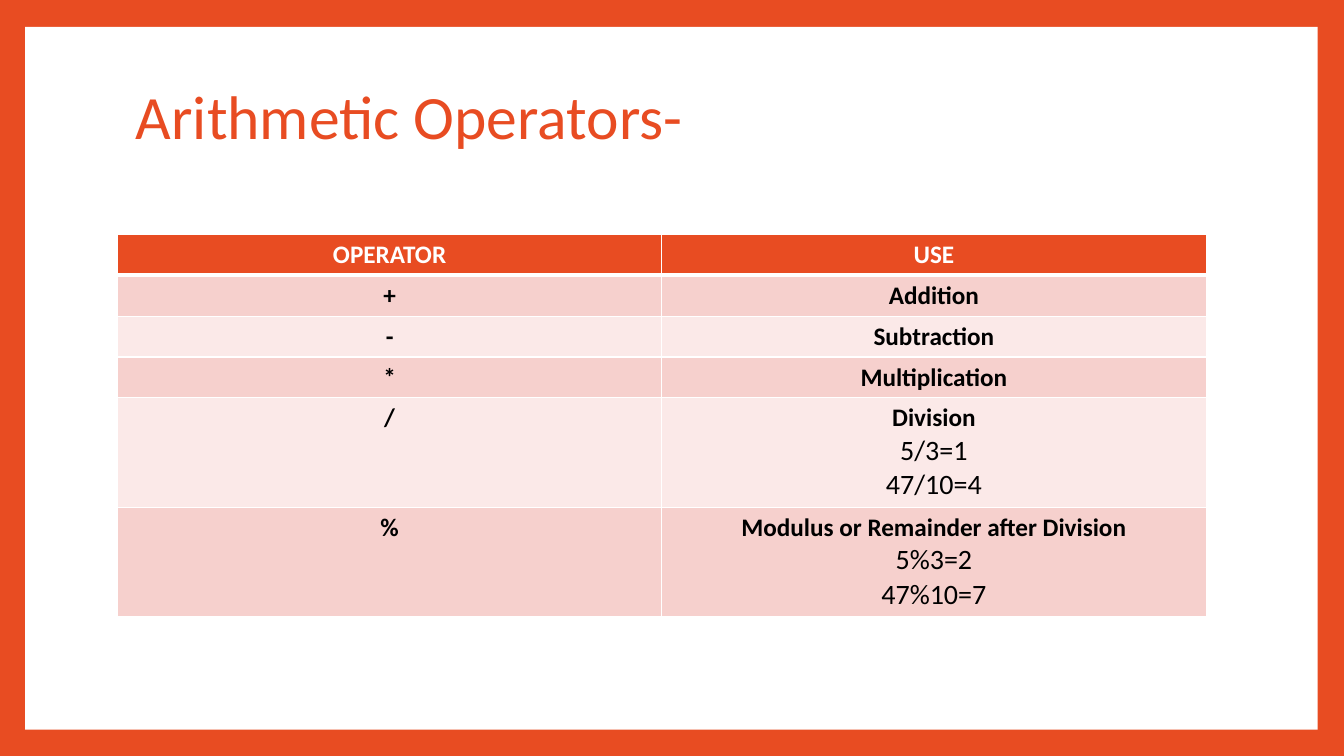
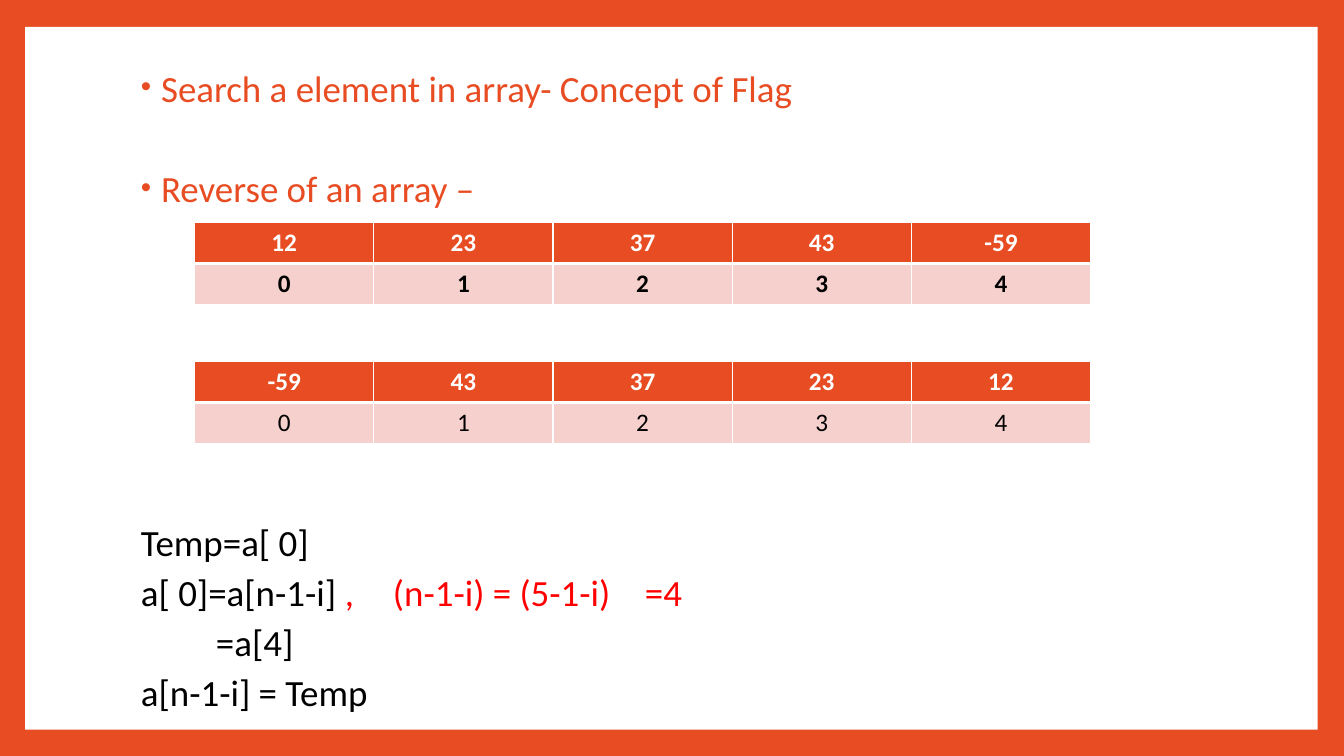
from pptx import Presentation
from pptx.dml.color import RGBColor
from pptx.enum import shapes, text
from pptx.oxml import parse_xml
from pptx.oxml.ns import nsdecls
from pptx.util import Pt

ORANGE = RGBColor(0xE8, 0x4C, 0x22)
WHITE = RGBColor(0xFF, 0xFF, 0xFF)
BLACK = RGBColor(0x00, 0x00, 0x00)
RED = RGBColor(0xFF, 0x00, 0x00)
BANDS = [RGBColor(0xFB, 0xE9, 0xE8), RGBColor(0xF6, 0xD0, 0xCD)]
FONT = "Calibri"
ROW_HEIGHT = 29.2
TALL_ROW_HEIGHT = 78.2
LINE_PITCH = 36.1
LINE_GAP = 13.6

presentation = Presentation()
presentation.slide_width, presentation.slide_height = Pt(960), Pt(540)


def add_framed_slide(top, height, anchor):
    """Add a white panel on orange and return the slide and its text frame."""
    slide = presentation.slides.add_slide(presentation.slide_layouts[6])
    slide.background.fill.solid()
    slide.background.fill.fore_color.rgb = ORANGE
    panel = slide.shapes.add_shape(
        shapes.MSO_SHAPE.RECTANGLE, Pt(18), Pt(19.2), Pt(923.3), Pt(502))
    panel.shadow.inherit = False
    panel.fill.solid()
    panel.fill.fore_color.rgb = WHITE
    panel.line.fill.background()
    frame = slide.shapes.add_textbox(Pt(90), Pt(top), Pt(777.6), Pt(height)).text_frame
    frame.word_wrap = True
    frame.vertical_anchor = anchor
    return slide, frame


def add_banded_table(slide, left, top, width, rows, bold_body=True):
    """Add a table with an orange header; later lines of a cell are plain."""
    heights = [TALL_ROW_HEIGHT if "\n" in row[-1] else ROW_HEIGHT for row in rows]
    table = slide.shapes.add_table(
        len(rows), len(rows[0]), Pt(left), Pt(top), Pt(width), Pt(sum(heights))).table
    table.horz_banding = False
    for r, row in enumerate(rows):
        table.rows[r].height = Pt(heights[r])
        for c, value in enumerate(row):
            cell = table.cell(r, c)
            for side in "LRTB":
                thick = (side == "B" and r == 0) or (side == "T" and r == 1)
                cell._tc.get_or_add_tcPr().append(parse_xml(
                    f'<a:ln{side} {nsdecls("a")} w="{Pt(3 if thick else 1)}">'
                    f'<a:solidFill><a:srgbClr val="{WHITE}"/></a:solidFill></a:ln{side}>'))
            cell.fill.solid()
            cell.fill.fore_color.rgb = BANDS[r % 2] if r else ORANGE
            cell.text_frame.text = value
            for i, paragraph in enumerate(cell.text_frame.paragraphs):
                paragraph.alignment = text.PP_ALIGN.CENTER
                paragraph.font.name = FONT
                paragraph.font.size = Pt(20 if i else 18)
                paragraph.font.bold = r == 0 or (bold_body and i == 0)
                paragraph.font.color.rgb = BLACK if r else WHITE


# Slide 1: arithmetic operators
slide, frame = add_framed_slide(48.2, 74.2, text.MSO_ANCHOR.MIDDLE)
title = frame.paragraphs[0]
title.text = "Arithmetic Operators-"
title.line_spacing = 0.9
title.font.name = FONT
title.font.size = Pt(44)
title.font.color.rgb = ORANGE

add_banded_table(slide, 83.9, 167.4, 777.6, [
    ("OPERATOR", "USE"),
    ("+", "Addition"),
    ("-", "Subtraction"),
    ("*", "Multiplication"),
    ("/", "Division\n5/3=1\n47/10=4"),
    ("%", "Modulus or Remainder after Division\n5%3=2\n47%10=7"),
])

# Slide 2: searching and reversing an array
slide, frame = add_framed_slide(51.8, 466.6, text.MSO_ANCHOR.TOP)

# Each line: text, red remainder, left margin, free lines above, bulleted
lines = [
    ("Search a element in array- Concept of Flag", "", 18, 0, True),
    ("Reverse of an array –", "", 18, 1, True),
    ("Temp=a[ 0]", "", 3.6, 6, False),
    ("a[ 0]=a[n-1-i] ", ",\t(n-1-i) = (5-1-i)\t=4", 3.6, 0, False),
    ("=a[4]", "", 57.2, 0, False),
    ("a[n-1-i] = Temp", "", 3.6, 0, False),
]
for i, (wording, remainder, margin, free_lines, bulleted) in enumerate(lines):
    paragraph = frame.add_paragraph() if i else frame.paragraphs[0]
    paragraph.line_spacing = 0.7
    paragraph.space_before = Pt(LINE_GAP + free_lines * LINE_PITCH)
    properties = paragraph._p.get_or_add_pPr()
    properties.set("marL", str(Pt(margin)))
    properties.set("indent", str(Pt(-14.4 if bulleted else 0)))
    if bulleted:
        for bullet in (f'buClr {nsdecls("a")}><a:srgbClr val="{ORANGE}"/></a:buClr',
                       f'buSzPct {nsdecls("a")} val="80000"/',
                       f'buFont {nsdecls("a")} typeface="Arial"/',
                       f'buChar {nsdecls("a")} char="•"/'):
            properties.append(parse_xml(f"<a:{bullet}>"))
    if remainder:
        stops = "".join(f'<a:tab pos="{Pt(stop)}" algn="l"/>' for stop in (174.3, 341.3))
        properties.append(parse_xml(f'<a:tabLst {nsdecls("a")}>{stops}</a:tabLst>'))
    paragraph.font.name = FONT
    paragraph.font.size = Pt(26.4)
    paragraph.font.color.rgb = ORANGE if bulleted else BLACK
    paragraph.add_run().text = wording
    if remainder:
        run = paragraph.add_run()
        run.text = remainder
        run.font.color.rgb = RED

for top, values, bold_body in ((159, ("12", "23", "37", "43", "-59"), True),
                               (258.4, ("-59", "43", "37", "23", "12"), False)):
    indexes = [str(index) for index in range(len(values))]
    add_banded_table(slide, 139, top, 640, [values, indexes], bold_body)

presentation.save("out.pptx")
